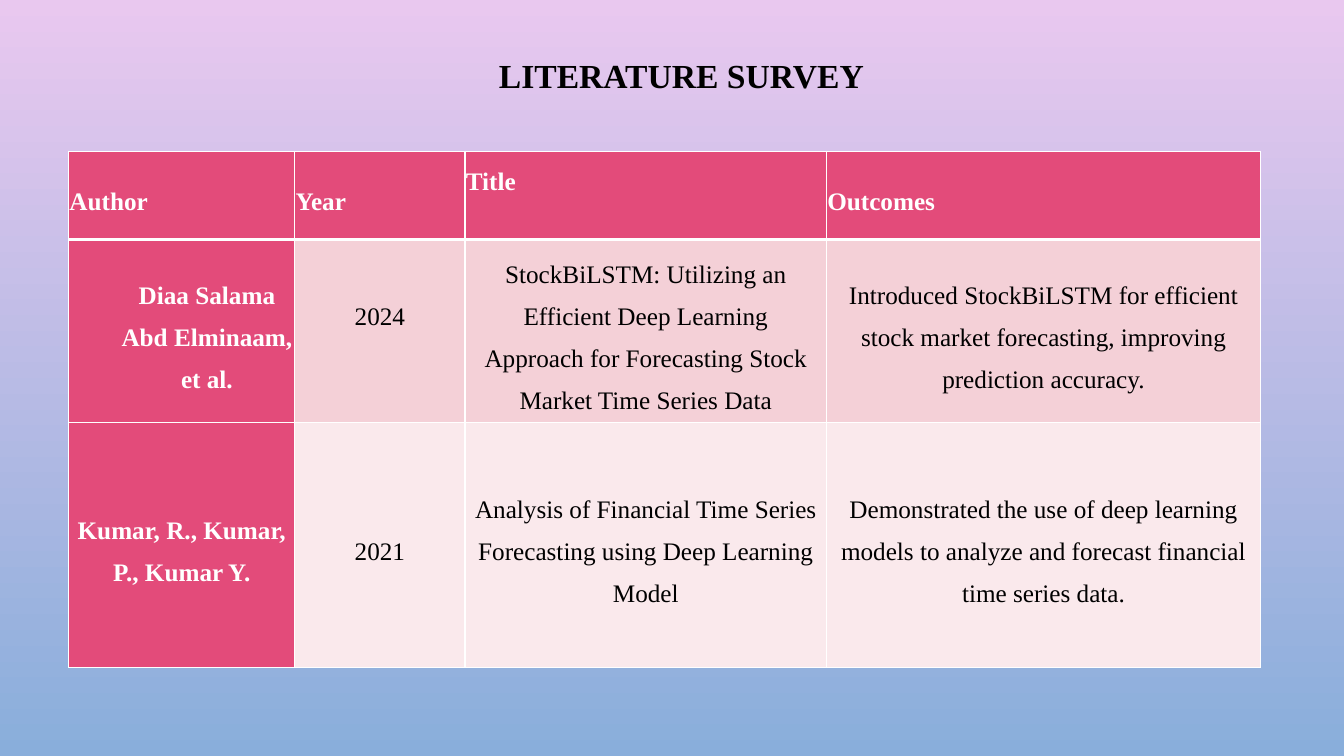
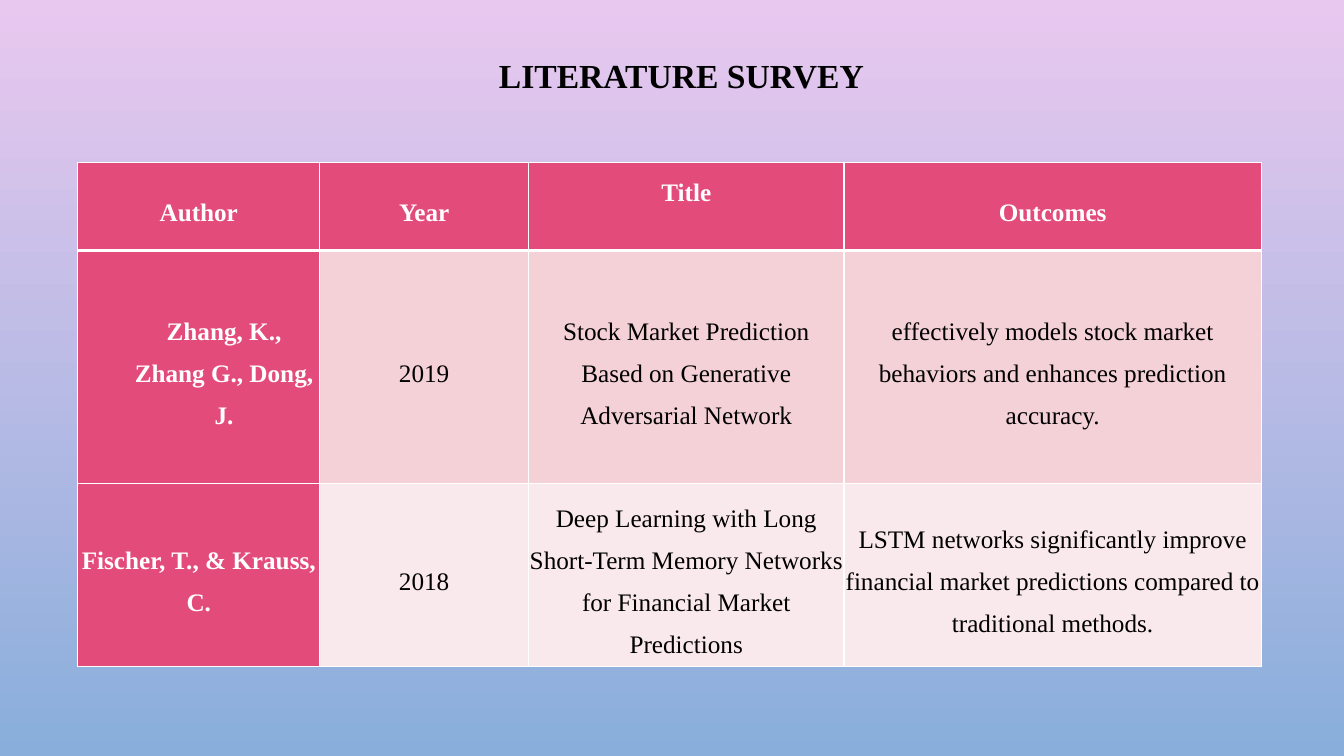
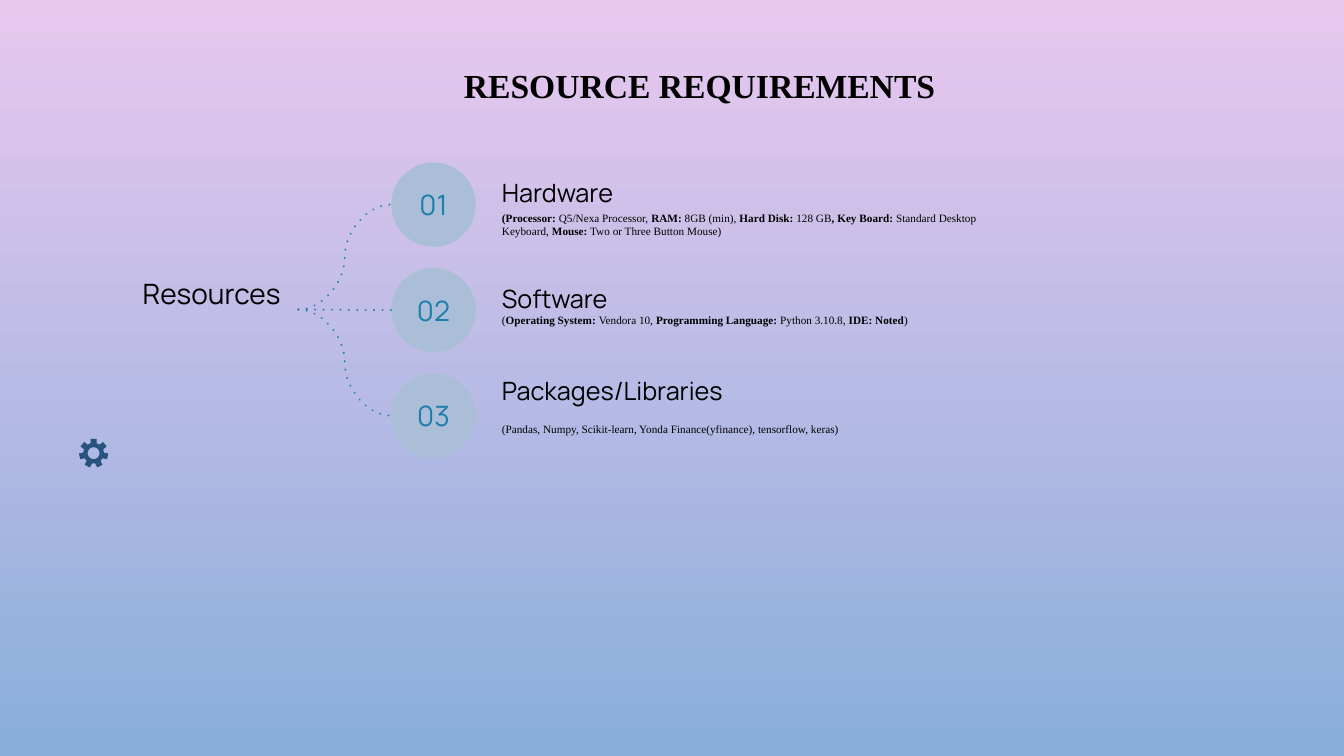
from math import cos, pi, sin

from lxml.etree import SubElement
from pptx import Presentation
from pptx.dml.color import RGBColor
from pptx.enum.shapes import MSO_CONNECTOR, MSO_SHAPE
from pptx.enum.text import MSO_ANCHOR, PP_ALIGN
from pptx.oxml.ns import qn
from pptx.util import Cm, Pt

BLACK = RGBColor(0x00, 0x00, 0x00)
WHITE = RGBColor(0xFF, 0xFF, 0xFF)
LILAC = RGBColor(0xE9, 0xC8, 0xEF)
SKY = RGBColor(0x89, 0xAE, 0xDB)
ROSE = RGBColor(0xE3, 0x4B, 0x7A)
PINK = RGBColor(0xF4, 0xD0, 0xD7)
BLUSH = RGBColor(0xFA, 0xE9, 0xEC)
TEAL = RGBColor(0x1D, 0x7E, 0xAB)
MIST = RGBColor(0xAA, 0xBE, 0xD7)
NAVY = RGBColor(0x27, 0x53, 0x7E)

SERIF = "Times New Roman"
SANS = "Manrope"
HEADS = ["Author", "Year", "Title", "Outcomes"]
HEAD_ROW = 2.16
INSET = 0.02
LINE = 1.06  # one line of table text


class Deck:
    def __init__(self):
        self.prs = Presentation()
        self.prs.slide_width, self.prs.slide_height = Cm(33.87), Cm(19.05)
        fill = self.prs.slide_master.background.fill
        fill.gradient()
        fill.gradient_angle = 270
        for stop, tone in zip(fill.gradient_stops, (LILAC, SKY)):
            stop.color.rgb = tone

    def page(self):
        self.slide = self.prs.slides.add_slide(self.prs.slide_layouts[6])
        self.shapes = self.slide.shapes

    def label(self, frame, text, size, face, tone=BLACK, bold=False,
              align=PP_ALIGN.LEFT, space=1.0, indent=0):
        """Fill a frame; pieces between bars are bold."""
        frame.word_wrap = True
        para = frame.paragraphs[0]
        para.alignment = align
        para.line_spacing = space
        if indent:
            para._p.get_or_add_pPr().set("marL", str(Cm(indent)))
        font = para.font
        font.size, font.name, font.bold = Pt(size), face, bold
        font.color.rgb = tone
        for i, piece in enumerate(text.split("|")):
            if piece:
                run = para.add_run()
                run.text = piece
                if i % 2:
                    run.font.bold = True

    def pad(self, frame, gap):
        frame.margin_left = frame.margin_right = Cm(gap)
        frame.margin_top = frame.margin_bottom = Cm(gap)

    def text(self, box, text, size, face, anchor=MSO_ANCHOR.TOP, **style):
        frame = self.shapes.add_textbox(*map(Cm, box)).text_frame
        self.pad(frame, 0.25)
        frame.vertical_anchor = anchor
        self.label(frame, text, size, face, **style)

    def title(self, text, box=(2.57, 1.14, 29.21, 1.75), space=1.0):
        self.text(box, text, 24, SERIF, bold=True,
                  align=PP_ALIGN.CENTER, space=space)

    def edge(self, cell, row):
        """White borders, thick below the header row."""
        props = cell._tc.get_or_add_tcPr()
        for side in ("lnL", "lnR", "lnT", "lnB"):
            thick = (row, side) in ((0, "lnB"), (1, "lnT"))
            line = SubElement(props, qn("a:" + side), w=str(Pt(3 if thick else 1)))
            fill = SubElement(line, qn("a:solidFill"))
            SubElement(fill, qn("a:srgbClr"), val=str(WHITE))

    def table(self, left, top, cols, tall, body, align):
        rows = [HEADS] + body
        sizes = [HEAD_ROW] + tall
        grid = self.shapes.add_table(len(rows), len(cols), Cm(left), Cm(top),
                                     Cm(sum(cols)), Cm(sum(sizes))).table
        grid.first_row = grid.horz_banding = False
        for col, width in zip(grid.columns, cols):
            col.width = Cm(width)
        for row, height in zip(grid.rows, sizes):
            row.height = Cm(height)
        for r, texts in enumerate(rows):
            for c, text in enumerate(texts):
                cell = grid.cell(r, c)
                strong = r == 0 or c == 0
                self.edge(cell, r)
                cell.fill.solid()
                cell.fill.fore_color.rgb = ROSE if strong else (PINK, BLUSH)[r - 1]
                cell.vertical_anchor = MSO_ANCHOR.MIDDLE
                self.pad(cell, INSET)
                self.label(cell.text_frame, text, 18, SERIF,
                           tone=WHITE if strong else BLACK, bold=strong,
                           align=PP_ALIGN.CENTER if r else align, space=1.5,
                           indent=1.27 if (r, c) == (1, 0) else 0)
        grid.cell(0, 2).margin_bottom = Cm(LINE)
        return grid

    def disc(self, left, top, size, text):
        disc = self.shapes.add_shape(MSO_SHAPE.OVAL, Cm(left), Cm(top),
                                     Cm(size), Cm(size))
        self.paint(disc, MIST)
        frame = disc.text_frame
        self.pad(frame, 0.25)
        frame.vertical_anchor = MSO_ANCHOR.MIDDLE
        self.label(frame, text, 20, SANS, tone=TEAL, align=PP_ALIGN.CENTER)

    def paint(self, shape, tone):
        shape.shadow.inherit = False
        shape.fill.solid()
        shape.fill.fore_color.rgb = tone
        shape.line.fill.background()

    def curve(self, *ends):
        link = self.shapes.add_connector(MSO_CONNECTOR.CURVE, *map(Cm, ends))
        link.line.color.rgb = TEAL
        link.line.width = Pt(1.5)
        props = link._element.spPr
        line = props.find(qn("a:ln"))
        line.set("cap", "rnd")
        SubElement(line, qn("a:prstDash"), val="dot")
        SubElement(props, qn("a:effectLst"))

    def gear(self, x, y, outer, inner, hole, teeth=7):
        def spot(reach, turn):
            return Cm(x + reach * sin(turn)), Cm(y - reach * cos(turn))

        rim = [spot(reach, 2 * pi * k / teeth + turn)
               for k in range(teeth)
               for reach, turn in ((inner, -0.29), (outer, -0.2),
                                   (outer, 0.2), (inner, 0.29))]
        ring = [spot(hole, -2 * pi * k / 24) for k in range(24)]
        form = self.shapes.build_freeform(*rim[0])
        form.add_line_segments(rim[1:], close=True)
        form.move_to(*ring[0])
        form.add_line_segments(ring[1:], close=True)
        self.paint(form.convert_to_shape(), NAVY)


def main():
    deck = Deck()

    # First survey table
    deck.page()
    deck.title("LITERATURE SURVEY")
    grid = deck.table(1.73, 3.81, [5.7, 4.29, 9.11, 10.94], [4.45, 6.17], [
        ["Diaa Salama Abd Elminaam, et al.", "2024",
         "StockBiLSTM: Utilizing an Efficient Deep Learning Approach for "
         "Forecasting Stock Market Time Series Data",
         "Introduced StockBiLSTM for efficient stock market forecasting, "
         "improving prediction accuracy."],
        ["Kumar, R., Kumar, P., Kumar Y.", "2021",
         "Analysis of Financial Time Series Forecasting using Deep Learning Model",
         "Demonstrated the use of deep learning models to analyze and "
         "forecast financial time series data."],
    ], PP_ALIGN.JUSTIFY)
    grid.cell(1, 1).margin_bottom = Cm(LINE)
    wide = grid.cell(1, 2)
    wide.margin_left = wide.margin_right = Cm(0.25)

    # Second survey table
    deck.page()
    deck.title("LITERATURE SURVEY")
    deck.table(1.96, 4.09, [6.1, 5.26, 7.95, 10.52], [5.87, 4.34], [
        ["Zhang, K., Zhang G., Dong, J.", "2019",
         "Stock Market Prediction Based on Generative Adversarial Network",
         "effectively models stock market behaviors and enhances prediction "
         "accuracy."],
        ["Fischer, T., & Krauss, C.", "2018",
         "Deep Learning with Long Short-Term Memory Networks for Financial "
         "Market Predictions",
         "LSTM networks significantly improve financial market predictions "
         "compared to traditional methods."],
    ], PP_ALIGN.CENTER)

    # Resources, branching into three items
    deck.page()
    deck.title("RESOURCE REQUIREMENTS", (6.91, 0.89, 21.44, 1.98), 1.5)
    deck.text((3.15, 6.58, 4.37, 2.46), "Resources", 20, SANS,
              align=PP_ALIGN.CENTER, space=1.15)
    items = [
        ("Hardware", 1.45, 1.0,
         "|(Processor: |Q5/Nexa Processor, |RAM:| 8GB (min), |Hard Disk: |128 GB"
         "|, Key Board:| Standard Desktop Keyboard, |Mouse:| Two or Three "
         "Button Mouse)"),
        ("Software", 1.45, 1.0,
         "(|Operating System: |Vendora 10, |Programming Language: |"
         "Python 3.10.8, |IDE: Noted|)"),
        ("Packages/Libraries", 1.12, 1.15,
         "(Pandas, Numpy, Scikit-learn, Yonda Finance(yfinance), tensorflow, "
         "keras)"),
    ]
    size, step = 2.13, 2.66
    for i, (head, tall, space, note) in enumerate(items):
        top = 4.09 + i * step
        deck.disc(9.86, top, size, f"{i + 1:02}")
        deck.text((12.4, top - 0.05, 11.9, tall), head, 18, SANS,
                  anchor=MSO_ANCHOR.BOTTOM, space=1.15)
        deck.text((12.4, top + 0.98, 13.2, 1.5), note, 8, SERIF, space=space)
        deck.curve(7.52, 7.8, 9.86, top + size / 2)
    deck.gear(2.36, 11.42, 0.37, 0.26, 0.15)

    deck.prs.save("out.pptx")


if __name__ == "__main__":
    main()
